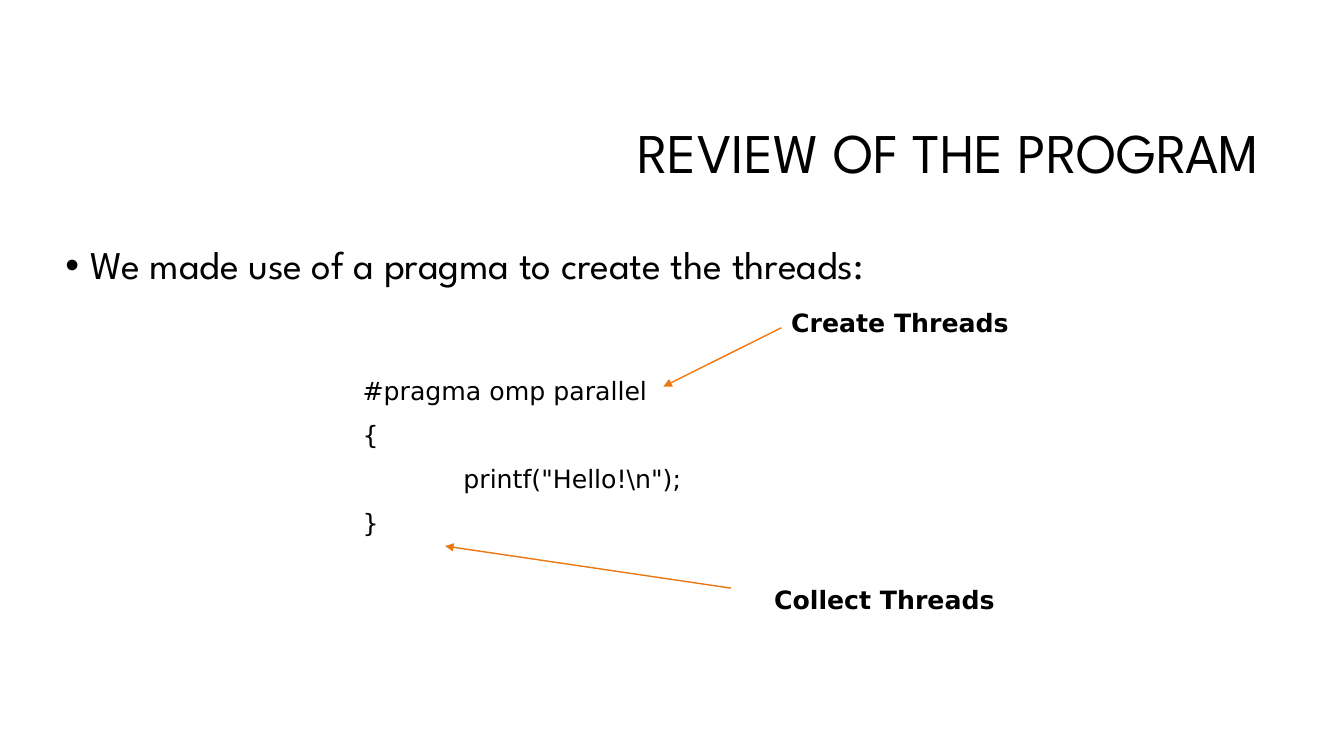
"""Build a slide that reviews how a pragma creates and collects threads."""
import pptx
import pptx.util
import pptx.dml.color
import pptx.enum.shapes
import pptx.enum.text
import pptx.oxml.ns
from lxml import etree

Cm = pptx.util.Cm
Pt = pptx.util.Pt
ALIGN = pptx.enum.text.PP_ALIGN
ANCHOR = pptx.enum.text.MSO_ANCHOR
COLORS = {"text": "000000", "arrow": "EB7712"}
HEAD = "League Spartan"
CODE = "DejaVu Sans"


def tint(name):
    return pptx.dml.color.RGBColor.from_string(COLORS[name])


def add_box(slide, left, top, width, height, anchor=ANCHOR.TOP):
    box = slide.shapes.add_textbox(Cm(left), Cm(top), Cm(width), Cm(height))
    frame = box.text_frame
    frame.word_wrap = True
    frame.vertical_anchor = anchor
    return frame


def add_run(para, text, font, size, bold=False):
    run = para.add_run()
    run.text = text
    run.font.name = font
    run.font.size = Pt(size)
    run.font.bold = bold
    run.font.color.rgb = tint("text")


def add_title(slide, text):
    para = add_box(slide, 8.05, 2.13, 23.93, 3.58, ANCHOR.MIDDLE).paragraphs[0]
    para.alignment = ALIGN.RIGHT
    para.line_spacing = 0.9
    add_run(para, text, HEAD, 40)


def add_point(slide, text):
    para = add_box(slide, 1.4, 6.07, 30.56, 3.18).paragraphs[0]
    para.line_spacing = 0.9
    props = para._p.get_or_add_pPr()
    props.set("marL", str(Cm(0.64)))
    props.set("indent", str(-Cm(0.64)))
    qn = pptx.oxml.ns.qn
    etree.SubElement(props, qn("a:buFont")).set("typeface", "Arial")
    etree.SubElement(props, qn("a:buChar")).set("char", "•")
    add_run(para, text, HEAD, 28)


def add_code(slide, lines):
    frame = add_box(slide, 6.35, 8.26, 12.7, 5.61)
    frame.margin_top = Cm(1.21)
    for row, (depth, text) in enumerate(lines):
        para = frame.add_paragraph() if row else frame.paragraphs[0]
        if row:
            para.space_before = Pt(9.75)
        para._p.get_or_add_pPr().set("marL", str(Cm(2.54 * depth)))
        add_run(para, text, CODE, 18)


def add_label(slide, left, top, text):
    frame = add_box(slide, left, top, 7.2, 1.02)
    frame.auto_size = pptx.enum.text.MSO_AUTO_SIZE.SHAPE_TO_FIT_TEXT
    add_run(frame.paragraphs[0], text, CODE, 18, True)


def add_arrow(slide, *ends):
    kind = pptx.enum.shapes.MSO_CONNECTOR.STRAIGHT
    arrow = slide.shapes.add_connector(kind, *map(Cm, ends))
    arrow.line.color.rgb = tint("arrow")
    arrow.line.width = Pt(1)
    qn = pptx.oxml.ns.qn
    tail = etree.SubElement(arrow.line._get_or_add_ln(), qn("a:tailEnd"))
    tail.set("type", "triangle")
    etree.SubElement(arrow._element.spPr, qn("a:effectLst"))


def main():
    deck = pptx.Presentation()
    deck.slide_width, deck.slide_height = Cm(33.87), Cm(19.05)
    slide = deck.slides.add_slide(deck.slide_layouts[6])
    add_title(slide, "REVIEW OF THE PROGRAM")
    add_point(slide, "We made use of a pragma to create the threads:")
    add_code(slide, [
        (1, "#pragma omp parallel"),
        (1, "{"),
        (2, 'printf("Hello!\\n");'),
        (1, "}"),
    ])
    add_label(slide, 19.69, 7.62, "Create Threads")
    add_arrow(slide, 19.69, 8.26, 16.72, 9.74)
    add_label(slide, 19.26, 14.61, "Collect Threads")
    add_arrow(slide, 18.42, 14.82, 11.22, 13.76)
    deck.save("out.pptx")


if __name__ == "__main__":
    main()
